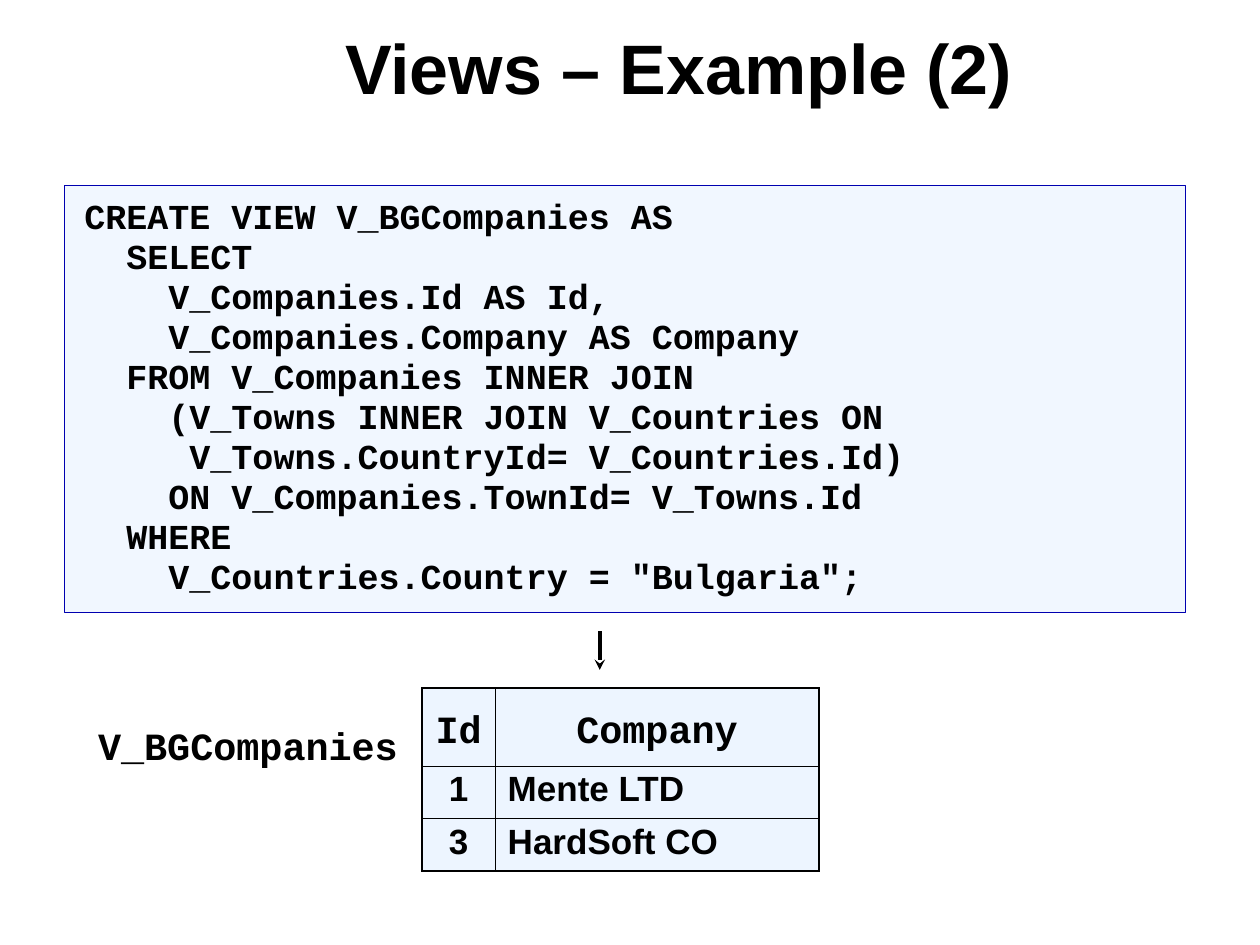
from dataclasses import dataclass

from lxml import etree
from pptx import Presentation
from pptx import util as u
from pptx.dml.color import RGBColor
from pptx.enum import shapes, text
from pptx.oxml import ns

# Content
TITLE = "Views – Example (2)"
QUERY = [
    "CREATE VIEW V_BGCompanies AS",
    "  SELECT",
    "    V_Companies.Id AS Id,",
    "    V_Companies.Company AS Company",
    "  FROM V_Companies INNER JOIN",
    "    (V_Towns INNER JOIN V_Countries ON",
    "     V_Towns.CountryId= V_Countries.Id)",
    "    ON V_Companies.TownId= V_Towns.Id",
    "  WHERE",
    '    V_Countries.Country = "Bulgaria";',
]
VIEW_NAME = "V_BGCompanies"
VIEW_ROWS = [("Id", "Company"), ("1", "Mente LTD"), ("3", "HardSoft CO")]


@dataclass(frozen=True)
class Theme:
    ink: str = "000000"
    panel: str = "DDECFF"
    panel_line: str = "0000B0"
    panel_opacity: int = 40
    cell_opacity: int = 50
    body_font: str = "Arial"
    code_font: str = "Courier New"
    title_size: int = 40
    head_size: int = 22
    text_size: int = 20
    outer_line: float = 1.08
    inner_line: float = 0.45


THEME = Theme()

# Layout: left, top, width, height as shares of the slide
WIDTH, HEIGHT = u.Inches(10), u.Inches(7.5)
TITLE_AREA = (0.264, 0.011, 0.717, 0.132)
QUERY_AREA = (0.051, 0.196, 0.89, 0.452)
TABLE_AREA = (0.335, 0.728, 0.315, 0.194)
LABEL_AREA = (0.068, 0.763, 0.258, 0.057)
ARROW_X, ARROW_TOP, ARROW_BOTTOM = 0.476, 0.668, 0.709
COLUMN_SHARES = (0.184, 0.816)
ROW_SHARES = (0.426, 0.287, 0.287)


def place(area):
    left, top, width, height = area
    return (int(left * WIDTH), int(top * HEIGHT),
            int(width * WIDTH), int(height * HEIGHT))


def fill_panel(fill, opacity):
    fill.solid()
    fill.fore_color.rgb = RGBColor.from_string(THEME.panel)
    color = fill._xPr.find(ns.qn("a:solidFill"))[0]
    etree.SubElement(color, ns.qn("a:alpha"), val=str(opacity * 1000))


def write(frame, lines, font, size, spacing, align=text.PP_ALIGN.LEFT):
    for index, line in enumerate(lines):
        paragraph = frame.add_paragraph() if index else frame.paragraphs[0]
        paragraph.text = line
        paragraph.alignment = align
        paragraph.line_spacing = spacing
        paragraph.font.name = font
        paragraph.font.size = u.Pt(size)
        paragraph.font.bold = True
        paragraph.font.color.rgb = RGBColor.from_string(THEME.ink)


def add_border(properties, side, points):
    line = etree.SubElement(properties, ns.qn(f"a:ln{side}"), w=str(u.Pt(points)))
    fill = etree.SubElement(line, ns.qn("a:solidFill"))
    etree.SubElement(fill, ns.qn("a:srgbClr"), val=THEME.ink)


def add_title(slide):
    frame = slide.shapes.add_textbox(*place(TITLE_AREA)).text_frame
    frame.word_wrap = True
    frame.vertical_anchor = text.MSO_ANCHOR.MIDDLE
    write(frame, [TITLE], THEME.body_font, THEME.title_size, 0.85)


def add_query(slide):
    shape = slide.shapes.add_shape(shapes.MSO_SHAPE.RECTANGLE, *place(QUERY_AREA))
    shape.shadow.inherit = False
    fill_panel(shape.fill, THEME.panel_opacity)
    shape.line.color.rgb = RGBColor.from_string(THEME.panel_line)
    shape.line.width = u.Pt(0.25)
    frame = shape.text_frame
    frame.word_wrap = True
    frame.vertical_anchor = text.MSO_ANCHOR.TOP
    frame.margin_left = frame.margin_right = u.Inches(0.16)
    frame.margin_top, frame.margin_bottom = u.Inches(0.1), u.Inches(0.12)
    write(frame, QUERY, THEME.code_font, THEME.text_size, 0.95)


def add_view_table(slide):
    left, top, width, height = place(TABLE_AREA)
    last_row, last_column = len(VIEW_ROWS) - 1, len(COLUMN_SHARES) - 1
    table = slide.shapes.add_table(
        last_row + 1, last_column + 1, left, top, width, height).table
    for column, share in zip(table.columns, COLUMN_SHARES):
        column.width = int(width * share)
    for row, share in zip(table.rows, ROW_SHARES):
        row.height = int(height * share)

    for row, values in enumerate(VIEW_ROWS):
        for column, value in enumerate(values):
            cell = table.cell(row, column)
            is_head = row == 0
            centered = is_head or column == 0
            write(cell.text_frame, [value],
                  THEME.code_font if is_head else THEME.body_font,
                  THEME.head_size if is_head else THEME.text_size,
                  1.4 if is_head else 0.95,
                  text.PP_ALIGN.CENTER if centered else text.PP_ALIGN.LEFT)
            # Borders come before the fill in the cell properties
            properties = cell._tc.get_or_add_tcPr()
            outer = {"L": column == 0, "R": column == last_column,
                     "T": row == 0, "B": row == last_row}
            for side, is_outer in outer.items():
                add_border(properties, side,
                           THEME.outer_line if is_outer else THEME.inner_line)
            fill_panel(cell.fill, THEME.cell_opacity)
            # Keep the fill after the borders
            properties.append(properties.find(ns.qn("a:solidFill")))


def add_label(slide):
    frame = slide.shapes.add_textbox(*place(LABEL_AREA)).text_frame
    frame.word_wrap = False
    write(frame, [VIEW_NAME], THEME.code_font, THEME.head_size, 0.9)


def add_arrow(slide):
    x = int(ARROW_X * WIDTH)
    arrow = slide.shapes.add_connector(
        shapes.MSO_CONNECTOR.STRAIGHT,
        x, int(ARROW_TOP * HEIGHT), x, int(ARROW_BOTTOM * HEIGHT))
    arrow.line.color.rgb = RGBColor.from_string(THEME.ink)
    arrow.line.width = u.Pt(2)
    etree.SubElement(arrow.line._get_or_add_ln(), ns.qn("a:tailEnd"), type="stealth")
    etree.SubElement(arrow._element.spPr, ns.qn("a:effectLst"))


def main():
    presentation = Presentation()
    presentation.slide_width, presentation.slide_height = WIDTH, HEIGHT
    slide = presentation.slides.add_slide(presentation.slide_layouts[6])
    add_title(slide)
    add_query(slide)
    add_view_table(slide)
    add_label(slide)
    add_arrow(slide)
    presentation.save("out.pptx")


if __name__ == "__main__":
    main()
